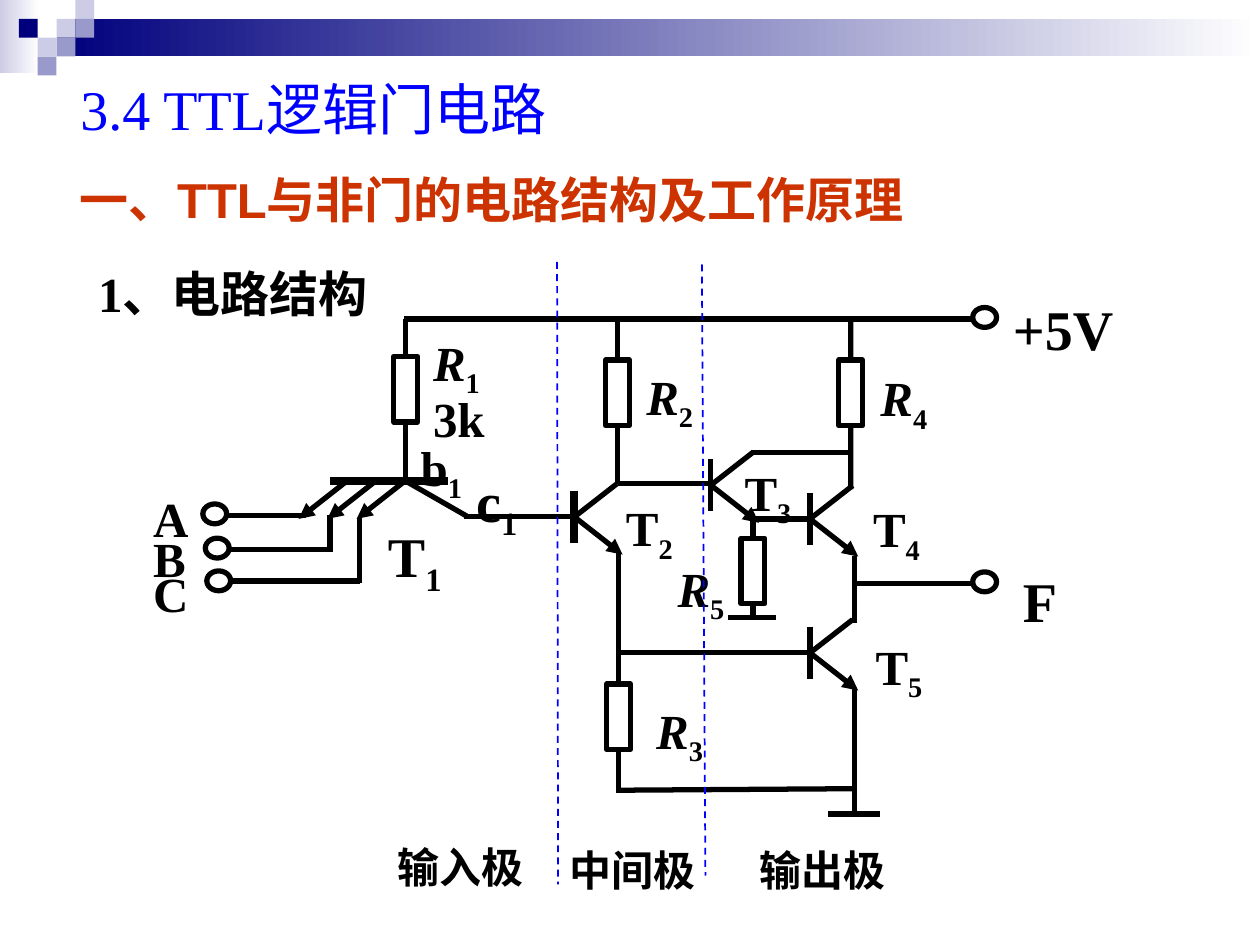
from dataclasses import dataclass
from typing import Any

from lxml import etree
from pptx import Presentation
from pptx.dml.color import RGBColor
from pptx.enum.dml import MSO_LINE
from pptx.enum.shapes import MSO_CONNECTOR, MSO_SHAPE
from pptx.enum.text import MSO_ANCHOR
from pptx.oxml.ns import qn
from pptx.util import Cm, Pt

RECT, OVAL = MSO_SHAPE.RECTANGLE, MSO_SHAPE.OVAL
STRAIGHT, DASH = MSO_CONNECTOR.STRAIGHT, MSO_LINE.DASH
MIDDLE = MSO_ANCHOR.MIDDLE
TOP, LOW = 0, 2
HEX = {"ink": "000000", "blue": "0000FF", "red": "CC3300", "navy": "00007D",
       "mid": "9999CC", "pale": "CCCCE6", "white": "FFFFFF"}
SERIF, SANS, HAN = "Times New Roman", "Arial", "Noto Sans CJK SC"


def rgb(name):
    return RGBColor.from_string(HEX[name])


@dataclass
class Area:
    """A box on the slide; its parts are placed in cm from its corner."""
    shapes: Any
    x: float
    y: float
    w: float
    h: float

    def spot(self, x, y):
        return Cm(self.x + x), Cm(self.y + y)

    def line(self, start, end, width=3, color="ink", arrow=False, dash=False):
        wire = self.shapes.add_connector(
            STRAIGHT, *self.spot(*start), *self.spot(*end))
        wire.line.color.rgb = rgb(color)
        wire.line.width = Pt(width)
        if dash:
            wire.line.dash_style = DASH
        if arrow:
            etree.SubElement(wire.line._get_or_add_ln(), qn("a:tailEnd"),
                             type="triangle")
        etree.SubElement(wire._element.spPr, qn("a:effectLst"))
        return wire

    def shape(self, kind, x, y, w, h):
        part = self.shapes.add_shape(kind, *self.spot(x, y), Cm(w), Cm(h))
        part.shadow.inherit = False
        return part

    def block(self, x, y, w, h, color, fade=False):
        part = self.shape(RECT, x, y, w, h)
        part.line.fill.background()
        if fade:
            part.fill.gradient()
            part.fill.gradient_angle = 0
            for stop, name in zip(part.fill.gradient_stops, (color, "white")):
                stop.color.rgb = rgb(name)
        else:
            part.fill.solid()
            part.fill.fore_color.rgb = rgb(color)

    def hollow(self, kind, x, y, w, h):
        part = self.shape(kind, x, y, w, h)
        part.fill.background()
        part.line.color.rgb = rgb("ink")
        part.line.width = Pt(3)
        return part

    def text(self, x, y, w, h, words, size=28, sub="", font=SERIF,
             color="ink", bold=True, slant=False):
        box = self.shapes.add_textbox(*self.spot(x, y), Cm(w), Cm(h))
        frame = box.text_frame
        frame.word_wrap = True
        para = frame.paragraphs[0]
        for part in filter(None, (words, sub)):
            run = para.add_run()
            run.text = part
            face = run.font
            face.name, face.size, face.bold = font, Pt(size), bold
            face.italic = slant and part == words
            face.color.rgb = rgb(color)
            props = face._element
            etree.SubElement(props, qn("a:ea"), typeface=HAN)
            if part == sub:
                props.set("baseline", "-25000")
        return frame


def header(area):
    cell = 0.38
    area.block(0, 0, 0.79, 1.47, "pale", fade=True)
    area.block(3 * cell, cell, area.w - 3 * cell, 2 * cell, "navy", fade=True)
    for col, row, color in ((3, 1, "pale"), (4, 0, "pale"), (4, 1, "mid"),
                            (2, 2, "pale"), (1, 1, "navy"), (3, 2, "mid"),
                            (2, 3, "mid")):
        area.block(col * cell, row * cell, cell, cell, color)


def titles(area):
    top = area.text(0.02, 0, 12.27, 1.63, "3.4 TTL逻辑门电路", 32,
                    color="blue", bold=False)
    top.vertical_anchor = MIDDLE
    area.text(0, 1.93, area.w, 1.45, "一、TTL与非门的电路结构及工作原理",
              font=SANS, color="red")
    area.text(0.38, 3.81, 6.73, 1.45, "1、电路结构")


def resistor(area, x, y, start, end):
    """Body centred on x with its top at y; leads run from start to end."""
    wide, tall = 0.48, 1.32
    body = area.hollow(RECT, x - wide / 2, y, wide, tall)
    area.line((x, start), (x, y)).end_connect(body, TOP)
    area.line((x, y + tall), (x, end)).begin_connect(body, LOW)


def transistor(area, x, y, width=3):
    """Base bar centred on (x, y), collector above, emitter below."""
    area.line((x, y - 0.53), (x, y + 0.53), width)
    area.line((x, y), (x + 0.97, y + 0.76), arrow=True)
    area.line((x, y), (x + 0.86, y - 0.67))


def node(area, x, y):
    area.hollow(OVAL, x, y, 0.48, 0.4)


def wires(area, *pairs):
    for start, end in pairs:
        area.line(start, end)


def marks(area, *rows):
    for x, y, w, words, sub, size in rows:
        area.text(x, y, w, 1.8 if size > 28 else 1.6, words, size, sub,
                  slant=words == "R")


def inputs(area):
    resistor(area, 5.38, 1.39, 0.63, 3.9)
    area.line((3.85, 3.9), (6.24, 3.9), 4.5)
    for x in (5.36, 4.77, 4.19):
        area.line((x, 3.9), (x - 0.97, 4.66), arrow=True)
    wires(area, ((5.38, 3.9), (6.62, 4.61)), ((6.55, 4.61), (8.78, 4.61)),
          ((3.37, 4.59), (1.75, 4.59)),
          ((3.85, 4.59), (3.85, 5.33)), ((3.85, 5.27), (1.8, 5.27)),
          ((4.44, 4.64), (4.44, 5.96)), ((4.46, 5.91), (1.85, 5.91)))
    for x, y in ((1.29, 4.36), (1.34, 5.05), (1.37, 5.71)):
        node(area, x, y)
    marks(area, (5.68, 0.78, 2.64, "R", "1", 28),
          (5.68, 1.9, 3.12, "3k", "", 28),
          (4.77, 4.59, 1.83, "T", "1", 32), (5.43, 2.89, 2, "b", "1", 28),
          (6.55, 3.47, 2.54, "c", "1", 32), (0.04, 3.93, 1.78, "A", "", 28),
          (0.04, 4.72, 1.78, "B", "", 28), (0.04, 5.43, 1.78, "C", "", 28))


def middle(area):
    transistor(area, 8.78, 4.62, 4.5)
    resistor(area, 9.65, 1.46, 0.63, 3.95)
    resistor(area, 9.67, 7.99, 5.33, 10.18)
    wires(area, ((11.53, 3.95), (9.65, 3.95)), ((13.51, 7.36), (9.67, 7.36)),
          ((9.67, 10.13), (14.42, 10.1)))
    marks(area, (9.98, 1.46, 2.64, "R", "2", 28),
          (9.57, 4.11, 1.52, "T", "2", 28),
          (10.18, 8.2, 2.59, "R", "3", 28))


def outputs(area):
    for x, y in ((11.53, 3.98), (13.53, 4.66), (13.53, 7.36)):
        transistor(area, x, y)
    resistor(area, 14.35, 1.46, 0.63, 4.06)
    resistor(area, 12.38, 5.05, 4.64, 6.65)
    wires(area, ((12.34, 4.66), (13.53, 4.66)), ((12.34, 3.32), (14.35, 3.32)),
          ((11.88, 6.65), (12.85, 6.65)), ((14.42, 5.4), (14.42, 6.75)),
          ((14.42, 8.07), (14.42, 10.63)), ((13.89, 10.61), (14.93, 10.61)),
          ((14.42, 5.96), (16.81, 5.96)))
    for y in (0.4, 5.73):
        node(area, 16.81, y)
    marks(area, (17.37, 0.02, 3.15, "+5V", "", 32),
          (17.57, 5.5, 1.88, "F", "", 32), (14.7, 1.49, 2.64, "R", "4", 28),
          (10.61, 5.33, 1.57, "R", "5", 28), (11.96, 3.39, 2.49, "T", "3", 28),
          (14.55, 4.13, 1.68, "T", "4", 28), (14.6, 6.9, 1.68, "T", "5", 28))


def circuit(area):
    area.line((5.35, 0.63), (16.81, 0.63))
    inputs(area)
    middle(area)
    outputs(area)


def stages(area):
    """Dashed borders between the three stages, with a name under each."""
    for start, end in (((3.46, 0), (3.48, 12.55)), ((6.38, 0.05), (6.45, 12.37))):
        area.line(start, end, 1, "blue", dash=True)
    for x, y, w, words in ((0, 11.56, 3.25, "输入极"), (3.46, 11.61, 3.89, "中间极"),
                           (7.29, 11.61, 3.89, "输出极")):
        area.text(x, y, w, 1.27, words, 24, font=HAN)


def main():
    deck = Presentation()
    deck.slide_width, deck.slide_height = Cm(25.4), Cm(19.05)
    shapes = deck.slides.add_slide(deck.slide_layouts[6]).shapes
    header(Area(shapes, 0, 0, 25.4, 1.52))
    titles(Area(shapes, 1.35, 1.37, 19.66, 5.26))
    circuit(Area(shapes, 2.8, 5.8, 20.52, 10.63))
    stages(Area(shapes, 7.77, 5.28, 11.18, 12.88))
    deck.save("out.pptx")


if __name__ == "__main__":
    main()
